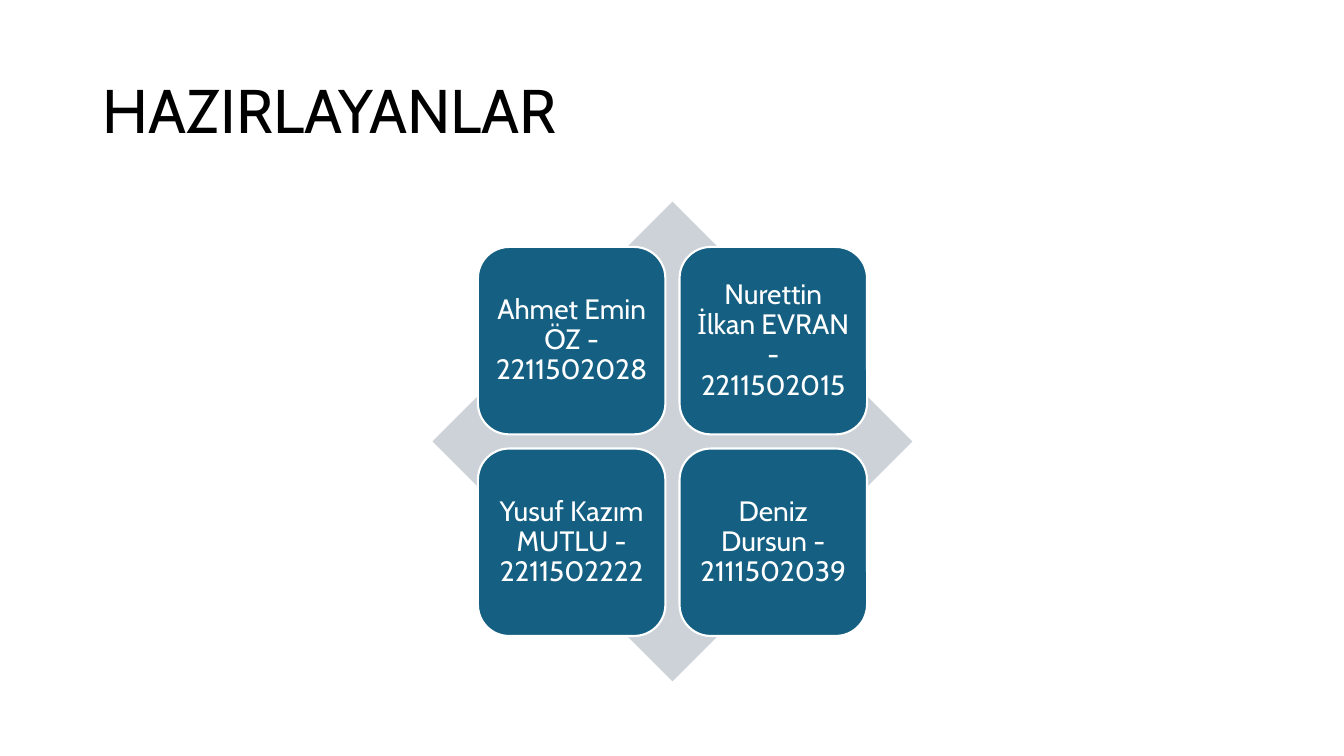
from pptx import Presentation
from pptx.dml.color import RGBColor
from pptx.enum.shapes import MSO_SHAPE
from pptx.enum.text import MSO_ANCHOR, PP_ALIGN
from pptx.util import Inches, Pt

DIAMOND, ROUNDED = MSO_SHAPE.DIAMOND, MSO_SHAPE.ROUNDED_RECTANGLE
MIDDLE = MSO_ANCHOR.MIDDLE
LEFT, CENTER = PP_ALIGN.LEFT, PP_ALIGN.CENTER


def color(value):
    return RGBColor.from_string(value)


def write(shape, text, size, ink, align, inset):
    """Fill a shape with one wrapped, vertically centred paragraph."""
    frame = shape.text_frame
    frame.text = text
    frame.word_wrap = True
    frame.vertical_anchor = MIDDLE
    frame.margin_left = frame.margin_right = Inches(inset)
    frame.margin_top = frame.margin_bottom = Inches(inset)
    paragraph = frame.paragraphs[0]
    paragraph.alignment = align
    paragraph.line_spacing = 0.9
    font = paragraph.runs[0].font
    font.name, font.size = "Cabin", Pt(size)
    font.color.rgb = color(ink)


prs = Presentation()
prs.slide_width, prs.slide_height = Inches(13.33), Inches(7.5)
slide = prs.slides.add_slide(prs.slide_layouts[6])
shapes = slide.shapes

heading = shapes.add_textbox(Inches(0.92), Inches(0.4), Inches(11.5), Inches(1.45))
write(heading, "HAZIRLAYANLAR", 44, "000000", LEFT, 0.1)

# Four cards sit symmetrically around the centre of the diamond
center_x, center_y = 6.67, 4.38
span, card_size, pitch = 4.76, 1.86, 2

diamond = shapes.add_shape(DIAMOND, Inches(center_x - span / 2), Inches(center_y - span / 2),
                           Inches(span), Inches(span))
diamond.shadow.inherit = False
diamond.fill.solid()
diamond.fill.fore_color.rgb = color("CCD2D8")
diamond.line.fill.background()

authors = [
    "Ahmet Emin ÖZ - 2211502028",
    "Nurettin İlkan EVRAN - 2211502015",
    "Yusuf Kazım MUTLU - 2211502222",
    "Deniz Dursun - 2111502039",
]
first_offset = (pitch + card_size) / 2
for index, author in enumerate(authors):
    row, column = divmod(index, 2)
    card = shapes.add_shape(ROUNDED,
                            Inches(center_x - first_offset + column * pitch),
                            Inches(center_y - first_offset + row * pitch),
                            Inches(card_size), Inches(card_size))
    card.shadow.inherit = False
    card.fill.solid()
    card.fill.fore_color.rgb = color("156082")
    card.line.color.rgb = color("FFFFFF")
    card.line.width = Pt(1.5)
    write(card, author, 20, "FFFFFF", CENTER, 0.08)

prs.save("out.pptx")
